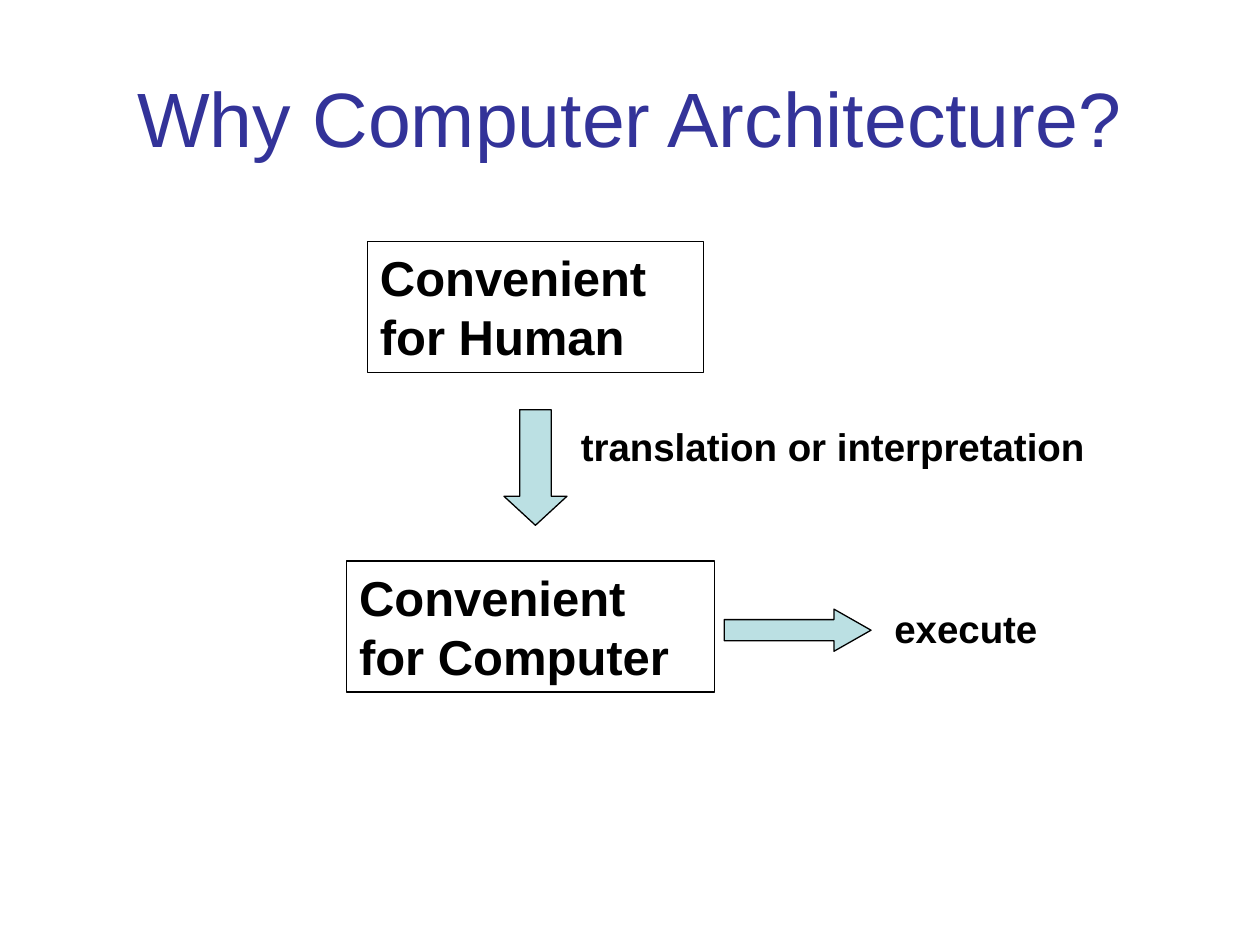
import pptx
import pptx.util
import pptx.dml.color
import pptx.enum.shapes
import pptx.enum.text

Cm = pptx.util.Cm
Pt = pptx.util.Pt
Color = pptx.dml.color.RGBColor.from_string
Shape = pptx.enum.shapes.MSO_SHAPE
Align = pptx.enum.text.PP_ALIGN
Anchor = pptx.enum.text.MSO_ANCHOR

TITLE = ("Why Computer Architecture?", (1.27, 0.76, 22.86, 3.18))
BOXES = [
    ("Convenient for Human", (7.41, 4.87, 6.78, 2.64)),
    ("Convenient for Computer", (6.99, 11.31, 7.41, 2.64)),
]
LABELS = [
    ("translation or interpretation", (11.46, 8.41, 10.75, 1.19)),
    ("execute", (17.78, 12.07, 3.5, 1.19)),
]
ARROWS = [
    (Shape.DOWN_ARROW, (10.16, 8.26, 1.27, 2.33), (0.5, 0.46)),
    (Shape.RIGHT_ARROW, (14.6, 12.28, 2.96, 0.85), (0.5, 0.88)),
]

THEME = {
    "title": {"name": "Arial", "size": Pt(44), "bold": False, "color": "333399"},
    "box": {"name": "Arial", "size": Pt(28), "bold": True, "color": "000000"},
    "label": {"name": "Arial", "size": Pt(22), "bold": True, "color": "000000"},
    "arrow_fill": "BBE0E3",
    "outline": "000000",
    "outline_width": Pt(0.75),
}


def set_attributes(target, values):
    for name, value in values.items():
        setattr(target, name, value)


def add_text(slide, text, place, style, align=Align.LEFT, anchor=Anchor.TOP):
    shape = slide.shapes.add_textbox(*map(Cm, place))
    set_attributes(shape.text_frame, {"word_wrap": True, "vertical_anchor": anchor})
    paragraph = shape.text_frame.paragraphs[0]
    set_attributes(paragraph, {"text": text, "alignment": align})
    font = paragraph.runs[0].font
    set_attributes(font, {key: style[key] for key in ("name", "size", "bold")})
    font.color.rgb = Color(style["color"])
    return shape


def outline(shape):
    shape.line.color.rgb = Color(THEME["outline"])
    shape.line.width = THEME["outline_width"]


def add_arrow(slide, kind, place, adjustments):
    shape = slide.shapes.add_shape(kind, *map(Cm, place))
    shape.shadow.inherit = False
    for index, value in enumerate(adjustments):
        shape.adjustments[index] = value
    shape.fill.solid()
    shape.fill.fore_color.rgb = Color(THEME["arrow_fill"])
    outline(shape)


def main():
    presentation = pptx.Presentation()
    set_attributes(presentation, {"slide_width": Cm(25.4), "slide_height": Cm(19.05)})
    slide = presentation.slides.add_slide(presentation.slide_layouts[6])
    add_text(slide, *TITLE, THEME["title"], Align.CENTER, Anchor.MIDDLE)
    for text, place in BOXES:
        outline(add_text(slide, text, place, THEME["box"]))
    for text, place in LABELS:
        add_text(slide, text, place, THEME["label"])
    for arrow in ARROWS:
        add_arrow(slide, *arrow)
    presentation.save("out.pptx")


if __name__ == "__main__":
    main()
